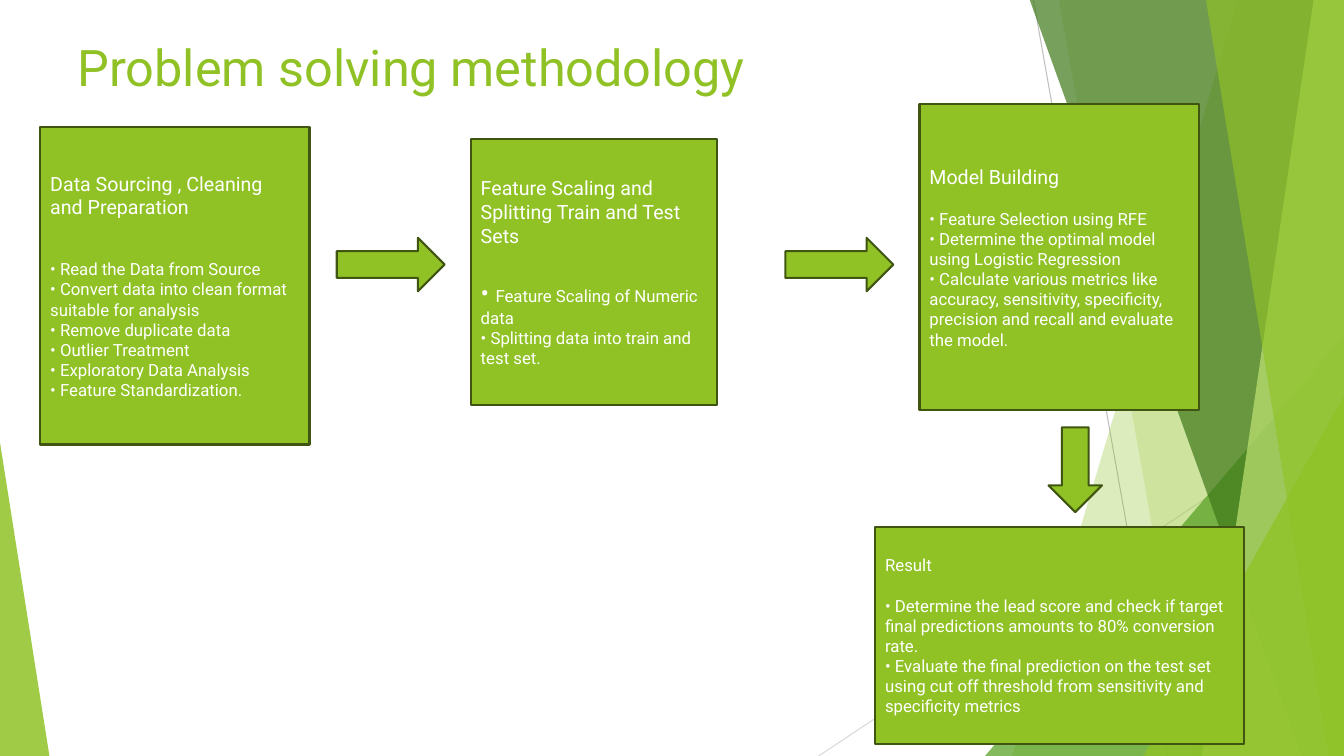
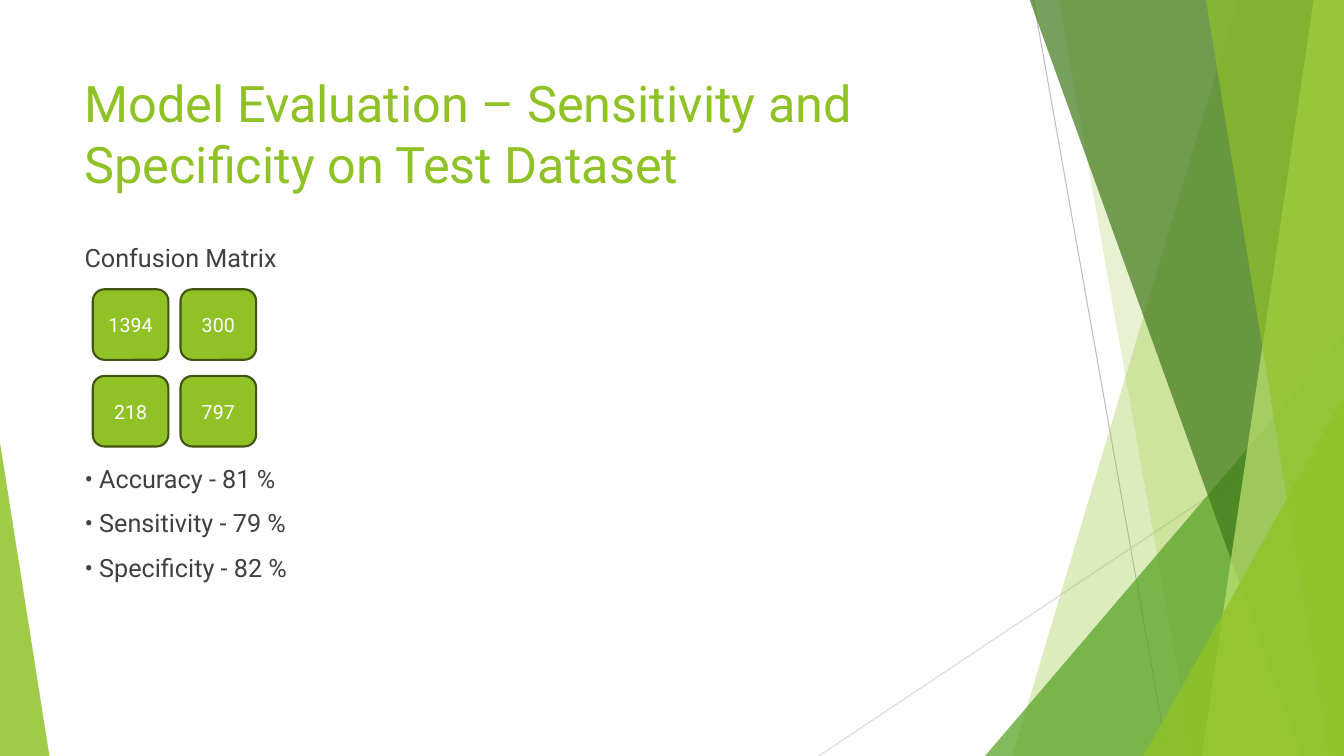
from pptx import Presentation
from pptx import util as u
from pptx.dml.color import RGBColor
from pptx.enum import shapes, text
from pptx.oxml import xmlchemy
from pptx.oxml.ns import qn
from lxml import etree

LIME = RGBColor(0x90, 0xC2, 0x26)
PALE_LIME = RGBColor(0xC0, 0xE4, 0x74)
GREEN = RGBColor(0x54, 0xA0, 0x21)
FOREST = RGBColor(0x3F, 0x78, 0x19)
OUTLINE = RGBColor(0x3F, 0x55, 0x11)
WHITE = RGBColor(0xFF, 0xFF, 0xFF)
INK = RGBColor(0x40, 0x40, 0x40)
GREY = RGBColor(0xBF, 0xBF, 0xBF)
LIGHT_GREY = RGBColor(0xD9, 0xD9, 0xD9)
FONT = "Roboto"
WIDTH, HEIGHT = 13.33, 7.5
PRESET = shapes.MSO_SHAPE


def inches(*values):
    """Turn numbers into lengths."""
    return [u.Inches(value) for value in values]


def paint(shape, color, opacity=100, outlined=False):
    """Fill a shape, with a dark outline or none, and no shadow."""
    shape.shadow.inherit = False
    shape.fill.solid()
    shape.fill.fore_color.rgb = color
    if opacity < 100:
        tone = shape.fill._xPr.find(qn("a:solidFill"))[0]
        etree.SubElement(tone, qn("a:alpha"), val=str(opacity * 1000))
    if outlined:
        shape.line.color.rgb = OUTLINE
        shape.line.width = u.Pt(1.5)
    else:
        shape.line.fill.background()


def add_hairline(page, start, end, color):
    """Draw a thin straight line."""
    line = page.shapes.add_connector(
        shapes.MSO_CONNECTOR.STRAIGHT, *inches(*start, *end))
    line.line.color.rgb = color
    line.line.width = u.Pt(0.75)
    etree.SubElement(line._element.spPr, qn("a:effectLst"))


def add_facet(page, top_left, bottom_left, color, opacity):
    """Draw a slanted facet that reaches the right edge of the page."""
    corners = [(WIDTH, -0.01), (WIDTH, HEIGHT), (bottom_left, HEIGHT)]
    outline = page.shapes.build_freeform(*inches(top_left, -0.01), scale=1.0)
    outline.add_line_segments([inches(*corner) for corner in corners], close=True)
    paint(outline.convert_to_shape(), color, opacity)


def add_wedge(page, left, top, width, peak, color, opacity):
    """Draw a triangle that stands on the bottom edge of the page."""
    wedge = page.shapes.add_shape(
        PRESET.ISOSCELES_TRIANGLE, *inches(left, top, width, HEIGHT - top))
    wedge.adjustments[0] = peak
    paint(wedge, color, opacity)


def add_backdrop(page):
    """Draw the green facets shared by all slides."""
    add_hairline(page, (10.25, 0), (11.58, HEIGHT), GREY)
    add_hairline(page, (WIDTH, 4.03), (8.12, HEIGHT), LIGHT_GREY)
    add_facet(page, 12.28, 10.04, LIME, 30)
    add_facet(page, 10.5, 11.83, LIME, 20)
    add_wedge(page, 9.77, 3.33, 3.56, 1, GREEN, 72)
    add_facet(page, 10.21, 12.91, FOREST, 70)
    add_facet(page, 13.03, 11.92, PALE_LIME, 70)
    add_facet(page, 11.96, 13.18, LIME, 65)
    add_wedge(page, 11.34, 3.93, 1.99, 1, LIME, 80)
    add_wedge(page, 0, 4.39, 0.49, 0, LIME, 85)


def add_span(para, words, size, color):
    """Add one run of text."""
    span = para.add_run()
    span.text = words
    span.font.name = FONT
    span.font.size = u.Pt(size)
    span.font.color.rgb = color


def add_para(frame, words, size, color, before=0, marker="", marker_size=None):
    """Add a left-aligned paragraph, with a marker of its own size if given."""
    para = frame.paragraphs[0]
    if para.runs:
        para = frame.add_paragraph()
    para.alignment = text.PP_ALIGN.LEFT
    para.space_before = u.Pt(before)
    if marker_size:
        add_span(para, marker, marker_size, color)
        add_span(para, words, size, color)
    else:
        add_span(para, marker + words, size, color)
    return para


def add_text_box(page, box):
    """Add a wrapping text box and return its text frame."""
    frame = page.shapes.add_textbox(*inches(*box)).text_frame
    frame.word_wrap = True
    frame.vertical_anchor = text.MSO_ANCHOR.TOP
    return frame


def add_slide(deck, title, left, top):
    """Add a page with the backdrop and a title."""
    page = deck.slides.add_slide(deck.slide_layouts[6])
    add_backdrop(page)
    add_para(add_text_box(page, (left, top, 9.4, 1.44)), title, 36, LIME)
    return page


def add_block(page, preset, box):
    """Add an outlined lime shape and return its text frame."""
    block = page.shapes.add_shape(preset, *inches(*box))
    paint(block, LIME, outlined=True)
    frame = block.text_frame
    frame.word_wrap = True
    frame.vertical_anchor = text.MSO_ANCHOR.MIDDLE
    return frame


def add_step(page, box, heading, points, gap=14.4, heading_size=14,
             marker_size=None, preset=PRESET.RECTANGLE):
    """Add a step of the method: a heading and its points."""
    frame = add_block(page, preset, box)
    add_para(frame, heading, heading_size, WHITE)
    for index, point in enumerate(points):
        first = index == 0
        add_para(frame, point, 12, WHITE, gap if first else 0, "• ",
                 marker_size if first else None)


def add_matrix(page, left, top, rows):
    """Lay out rounded cells in a grid."""
    for row, values in enumerate(rows):
        for column, value in enumerate(values):
            frame = add_block(page, PRESET.ROUNDED_RECTANGLE, (
                left + column * 0.87, top + row * 0.86, 0.75, 0.7))
            para = add_para(frame, value, 14, WHITE)
            para.alignment = text.PP_ALIGN.CENTER


def build_method(deck):
    """Build the slide with the steps of the method."""
    page = add_slide(deck, "Problem solving methodology", 0.67, 0.31)
    add_step(page, (0.4, 1.26, 2.67, 3.15),
             "Data Sourcing , Cleaning and Preparation",
             ["Read the Data from Source",
              "Convert data into clean format suitable for analysis",
              "Remove duplicate data",
              "Outlier Treatment",
              "Exploratory Data Analysis",
              "Feature Standardization."],
             gap=28.8, preset=PRESET.FLOWCHART_PROCESS)
    add_step(page, (4.67, 1.38, 2.44, 2.64),
             "Feature Scaling and Splitting Train and Test Sets",
             ["Feature Scaling of Numeric data",
              "Splitting data into train and test set."],
             gap=21.6, marker_size=18)
    add_step(page, (9.12, 1.03, 2.77, 3.04), "Model Building",
             ["Feature Selection using RFE",
              "Determine the optimal model using Logistic Regression",
              "Calculate various metrics like accuracy, sensitivity, specificity, "
              "precision and recall and evaluate the model."])
    add_step(page, (8.68, 5.23, 3.66, 2.15), "Result",
             ["Determine the lead score and check if target final predictions "
              "amounts to 80% conversion rate.",
              "Evaluate the final prediction on the test set using cut off "
              "threshold from sensitivity and specificity metrics"],
             heading_size=12)
    for left in (3.34, 7.79):
        add_block(page, PRESET.RIGHT_ARROW, (left, 2.36, 1.07, 0.53))
    add_block(page, PRESET.DOWN_ARROW, (10.4, 4.24, 0.53, 0.84))


def build_evaluation(deck):
    """Build the slide with the confusion matrix and its scores."""
    page = add_slide(
        deck, "Model Evaluation – Sensitivity and Specificity on Test Dataset",
        0.74, 0.67)
    frame = add_text_box(page, (0.74, 2.36, 9.4, 4.24))
    add_para(frame, "Confusion Matrix", 18, INK)
    scores = ["Accuracy - 81 %", "Sensitivity - 79 %", "Specificity - 82 %"]
    for index, score in enumerate(scores):
        add_para(frame, score, 18, INK, 10 if index else 136, "• ")
    add_matrix(page, 0.92, 2.87, [("1394", "300"), ("218", "797")])


def main():
    """Build and save the deck."""
    deck = Presentation()
    deck.slide_width, deck.slide_height = inches(WIDTH, HEIGHT)
    build_method(deck)
    build_evaluation(deck)
    deck.save("out.pptx")


main()
